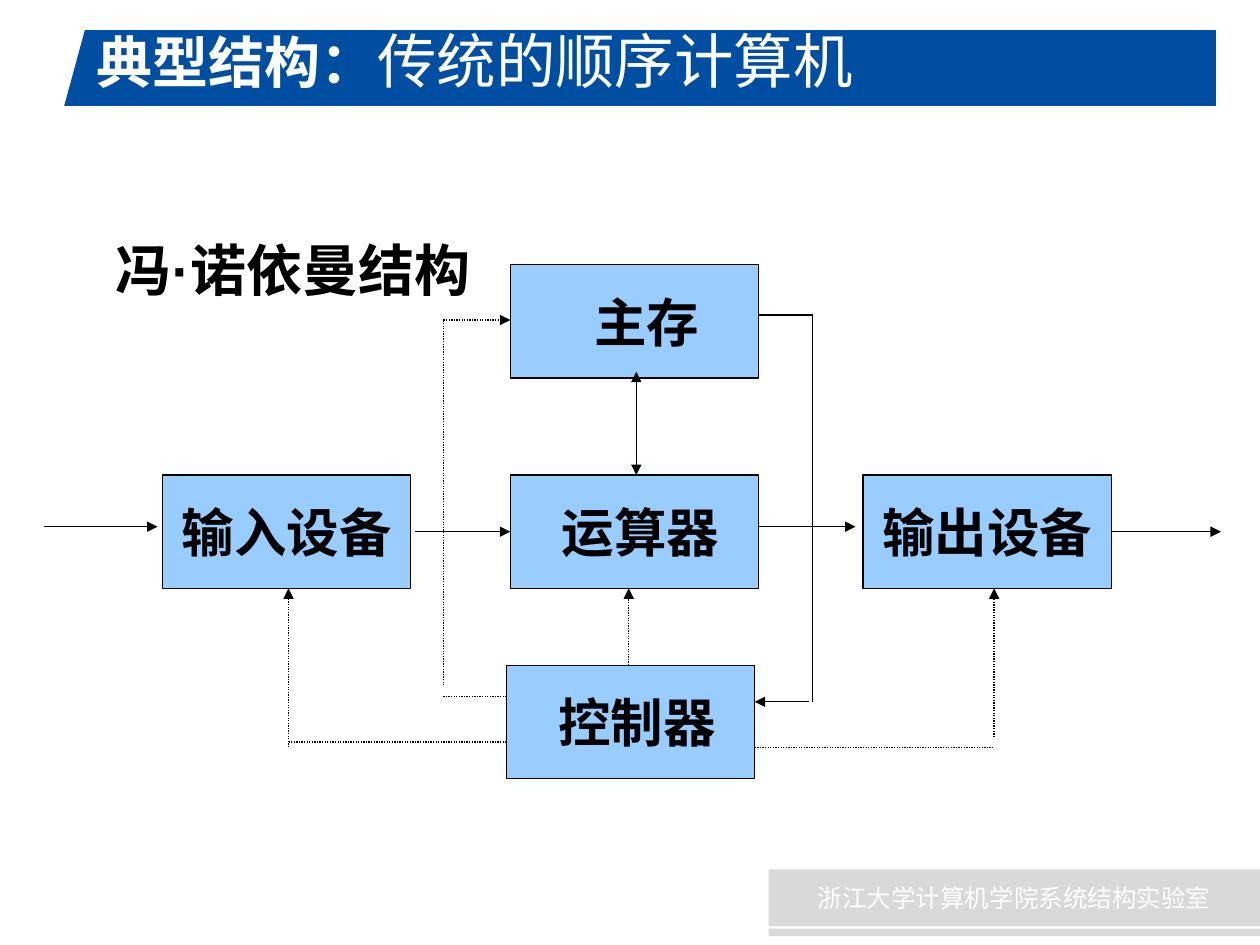
from pptx import Presentation
from pptx.util import Inches, Pt
from pptx.dml.color import RGBColor
from pptx.enum.dml import MSO_LINE
from pptx.enum.shapes import MSO_SHAPE as SHAPE, MSO_CONNECTOR as CONN
from pptx.enum.text import PP_ALIGN as ALIGN, MSO_ANCHOR as ANCHOR
from pptx.oxml.ns import qn
from lxml.etree import SubElement

BLUE, GREY, SKY, BLACK, WHITE = '004EA2', 'D9D9D9', '99CCFF', '000000', 'FFFFFF'
CJK = 'Noto Sans CJK SC'

BANDS = [
    (SHAPE.TRAPEZOID, (0.51, 0.24, 4.06, 0.6), BLUE),
    (SHAPE.RECTANGLE, (3.82, 0.24, 5.83, 0.6), BLUE),
    (SHAPE.RECTANGLE, (4.85, 0.79, 4.8, 0.05), BLUE),
    (SHAPE.RECTANGLE, (6.1, 6.9, 3.9, 0.45), GREY),
    (SHAPE.RECTANGLE, (6.1, 7.37, 3.9, 0.06), GREY),
]
FOOTER = ('浙江大学计算机学院系统结构实验室', dict(size=14, name=CJK, color=WHITE))
TITLE = [
    ('典型结构：', dict(size=32, name='Arial', color=WHITE, bold=True)),
    ('传统的顺序计算机', dict(size=34, name='Arial', color=WHITE, bold=False)),
]
HEADING = ('冯·诺依曼结构', dict(size=32, name='Arial', color=BLACK, bold=True))
LABEL = dict(size=30, name='Times New Roman', color=BLACK, bold=True)

BOX_W, BOX_H = 1.97, 0.9
IN_X, MID_X, CTRL_X, OUT_X = 1.29, 4.05, 4.02, 6.85
MEM_Y, UNIT_Y, CTRL_Y = 2.1, 3.77, 5.28
MID_R, CTRL_R, OUT_R = MID_X + BOX_W, CTRL_X + BOX_W, OUT_X + BOX_W
UNIT_B = UNIT_Y + BOX_H
BOXES = [
    ('输入设备', IN_X, UNIT_Y, 0),
    ('运算器', MID_X, UNIT_Y, 0.1),
    ('输出设备', OUT_X, UNIT_Y, 0),
    ('主存', MID_X, MEM_Y, 0.2),
    ('控制器', CTRL_X, CTRL_Y, 0.1),
]
DATA_LINES = [
    (0.35, 4.18, 1.25, 4.18, 'tail'),
    (3.29, 4.22, MID_X, 4.22, 'tail'),
    (MID_R, 4.18, 6.79, 4.18, 'tail'),
    (OUT_R, 4.22, 9.69, 4.22, 'tail'),
    (5.05, 2.95, 5.05, UNIT_Y, 'head tail'),
    (MID_R, 2.5, 6.45, 2.5, ''),
    (6.45, 2.5, 6.45, 5.57, ''),
    (6.42, 5.57, CTRL_R, 5.57, 'tail'),
]
CONTROL_LINES = [
    (CTRL_X, 5.53, 3.52, 5.53, ''),
    (3.52, 5.44, 3.52, 2.54, ''),
    (3.52, 2.54, MID_X, 2.54, 'tail'),
    (CTRL_X, 5.89, 2.29, 5.89, ''),
    (2.29, 5.93, 2.29, UNIT_B, 'tail'),
    (4.99, CTRL_Y, 4.99, UNIT_B, 'tail'),
    (CTRL_R, 5.93, 7.89, 5.93, ''),
    (7.89, 5.85, 7.89, UNIT_B, 'tail'),
]


def rgb(value):
    return RGBColor.from_string(value)


def add_block(kind, at, fill, line=None):
    sp = s.shapes.add_shape(kind, *map(Inches, at))
    sp.shadow.inherit = False
    sp.fill.solid()
    sp.fill.fore_color.rgb = rgb(fill)
    if line:
        sp.line.color.rgb = rgb(line)
        sp.line.width = Pt(0.75)
    else:
        sp.line.fill.background()
    return sp


def write(sp, runs, frame, para):
    tf = sp.text_frame
    for key, value in frame.items():
        setattr(tf, key, value)
    p = tf.paragraphs[0]
    for key, value in para.items():
        setattr(p, key, value)
    for text, fmt in runs:
        r = p.add_run()
        r.text = text
        for key, value in fmt.items():
            if key == 'color':
                r.font.color.rgb = rgb(value)
            else:
                setattr(r.font, key, Pt(value) if key == 'size' else value)
        SubElement(r.font._element, qn('a:ea'), typeface=CJK)


def add_line(x1, y1, x2, y2, arrows, dash=None):
    cx = s.shapes.add_connector(CONN.STRAIGHT, *map(Inches, (x1, y1, x2, y2)))
    cx.line.color.rgb = rgb(BLACK)
    cx.line.width = Pt(0.75)
    if dash:
        cx.line.dash_style = dash
    ln = cx.line._get_or_add_ln()
    for end in arrows.split():
        SubElement(ln, qn(f'a:{end}End'), type='triangle')
    SubElement(cx._element.spPr, qn('a:effectLst'))


prs = Presentation()
prs.slide_width, prs.slide_height = Inches(10), Inches(7.5)
s = prs.slides.add_slide(prs.slide_layouts[6])

bands = [add_block(*band) for band in BANDS]
bands[0].adjustments[0] = 0.273
write(bands[3], [FOOTER], dict(vertical_anchor=ANCHOR.MIDDLE, word_wrap=True),
      dict(alignment=ALIGN.CENTER))

title = s.shapes.add_textbox(*map(Inches, (0.67, 0.25, 8.31, 1)))
write(title, TITLE, dict(word_wrap=True), dict(line_spacing=0.8))
heading = s.shapes.add_textbox(*map(Inches, (0.82, 1.82, 8.03, 4.48)))
write(heading, [HEADING], dict(word_wrap=True), dict(alignment=ALIGN.JUSTIFY, space_before=Pt(6.4)))

for name, x, y, indent in BOXES:
    box = add_block(SHAPE.RECTANGLE, (x, y, BOX_W, BOX_H), SKY, BLACK)
    write(box, [(name, LABEL)],
          dict(vertical_anchor=ANCHOR.MIDDLE, word_wrap=True,
               margin_left=Inches(indent), margin_right=0),
          dict(alignment=ALIGN.CENTER))

for line in DATA_LINES:
    add_line(*line)
for line in CONTROL_LINES:
    add_line(*line, dash=MSO_LINE.ROUND_DOT)

prs.save("out.pptx")
